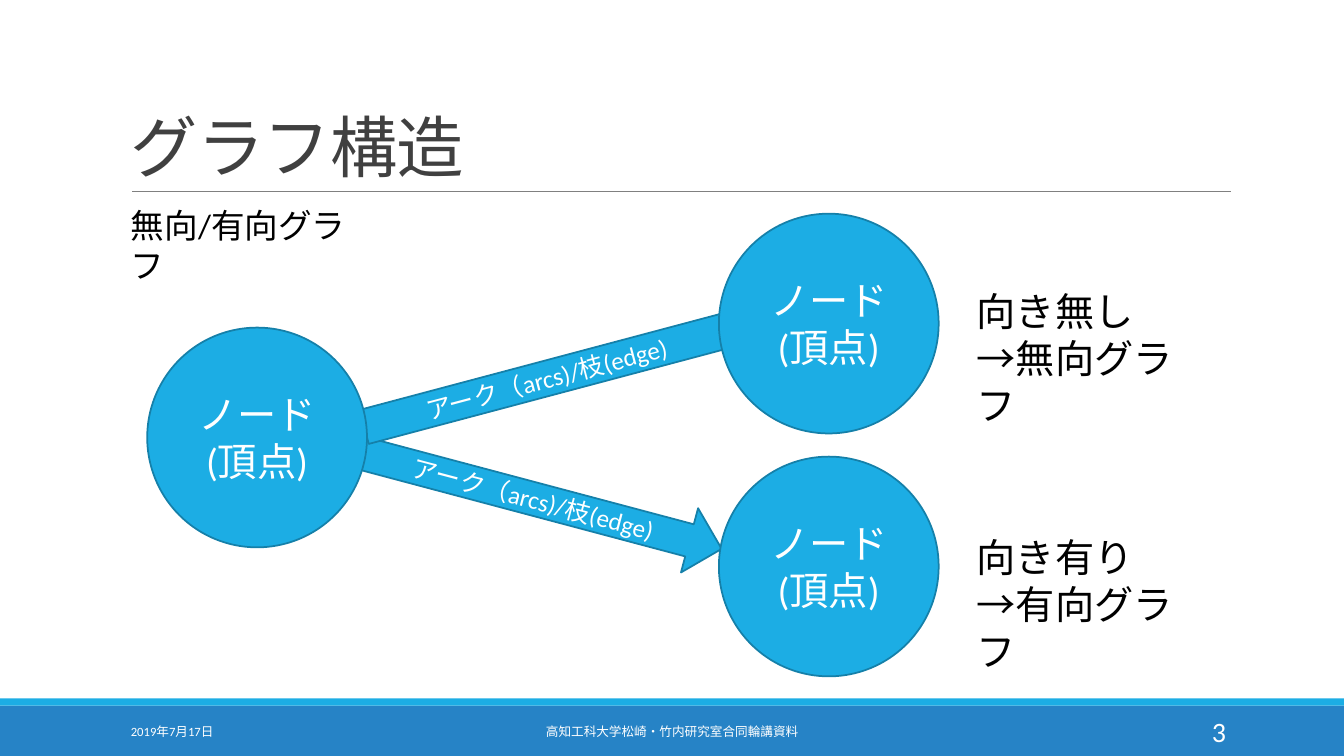
from dataclasses import dataclass

import pptx
import pptx.dml.color
import pptx.enum.shapes
import pptx.enum.text
import pptx.oxml
import pptx.util
from pptx.util import Inches

HUES = {
    "sky": "1CADE4",
    "edge": "1580A9",
    "blue": "2683C6",
    "gray": "808080",
    "dark": "404040",
    "black": "000000",
    "white": "FFFFFF",
}
KINDS = pptx.enum.shapes.MSO_SHAPE
ALIGN = pptx.enum.text.PP_ALIGN
ANCHOR = pptx.enum.text.MSO_ANCHOR

NODE = "ノード\n(頂点)"
ARC = "アーク（arcs)/枝(edge)"
SIZE = 2.18


@dataclass
class Part:
    kind: KINDS
    box: tuple[float, float, float, float]
    text: str = ""
    size: float = 18
    turn: float = 0
    fill: str = "sky"
    line: str | None = "edge"


@dataclass
class Note:
    box: tuple[float, float, float, float]
    text: str
    size: float
    hue: str = "black"
    align: ALIGN = ALIGN.LEFT
    anchor: ANCHOR = ANCHOR.TOP
    space: float = 1.0
    track: int = 0


def color(name: str) -> pptx.dml.color.RGBColor:
    return pptx.dml.color.RGBColor.from_string(HUES[name])


def write(frame, text: str, *, size: float, hue: str = "white",
          align: ALIGN = ALIGN.CENTER, anchor: ANCHOR = ANCHOR.MIDDLE,
          space: float = 1.0, track: int = 0) -> None:
    frame.word_wrap = True
    frame.vertical_anchor = anchor
    for i, words in enumerate(text.split("\n")):
        para = frame.paragraphs[0] if i == 0 else frame.add_paragraph()
        para.alignment = align
        para.line_spacing = space
        run = para.add_run()
        run.text = words
        run.font.name = "Calibri"
        run.font.size = pptx.util.Pt(size)
        run.font.color.rgb = color(hue)
        if track:
            run.font._element.set("spc", str(track))


def draw(slide, part: Part) -> None:
    shape = slide.shapes.add_shape(part.kind, *map(Inches, part.box))
    shape.shadow.inherit = False
    shape.rotation = part.turn
    shape.fill.solid()
    shape.fill.fore_color.rgb = color(part.fill)
    if part.line:
        shape.line.color.rgb = color(part.line)
        shape.line.width = pptx.util.Pt(1.25)
    else:
        shape.line.fill.background()
    if part.text:
        write(shape.text_frame, part.text, size=part.size)


def label(slide, note: Note) -> None:
    box = slide.shapes.add_textbox(*map(Inches, note.box))
    write(box.text_frame, note.text, size=note.size, hue=note.hue,
          align=note.align, anchor=note.anchor, space=note.space,
          track=note.track)


def rule(slide, left: float, right: float, top: float) -> None:
    line = slide.shapes.add_connector(
        pptx.enum.shapes.MSO_CONNECTOR.STRAIGHT,
        Inches(left), Inches(top), Inches(right), Inches(top))
    line.line.color.rgb = color("gray")
    line.line.width = pptx.util.Pt(0.5)
    line._element.spPr.append(pptx.oxml.parse_xml(
        '<a:effectLst xmlns:a='
        '"http://schemas.openxmlformats.org/drawingml/2006/main"/>'))


# Footer bands
BANDS = [
    Part(KINDS.RECTANGLE, (0, 7, 13.33, 0.5), fill="blue", line=None),
    Part(KINDS.RECTANGLE, (0, 6.93, 13.33, 0.07), line=None),
]

# Arcs lie beneath the nodes
GRAPH = [
    Part(KINDS.RIGHT_ARROW, (3.52, 4.64, 3.7, 0.66), ARC, turn=14.9),
    Part(KINDS.RECTANGLE, (3.55, 3.58, 3.74, 0.35), ARC, turn=345.1),
] + [
    Part(KINDS.OVAL, (left, top, SIZE, SIZE), NODE, size=28)
    for left, top in [(1.46, 3.25), (7.13, 2.12), (7.13, 4.53)]
]

# Title, footer and captions
NOTES = [
    Note((1.2, 0.31, 11, 1.59), "グラフ構造", 48, "dark",
         anchor=ANCHOR.BOTTOM, space=0.85, track=-50),
    Note((10.83, 7.06, 1.43, 0.4), "3", 20, "white",
         ALIGN.RIGHT, ANCHOR.MIDDLE),
    Note((4.03, 7.06, 5.27, 0.4), "高知工科大学松崎・竹内研究室合同輪講資料",
         9, "white", ALIGN.CENTER, ANCHOR.MIDDLE),
    Note((1.2, 7.06, 2.7, 0.4), "2019年7月17日", 9, "white",
         anchor=ANCHOR.MIDDLE),
    Note((1.2, 1.98, 2.54, 0.5), "無向/有向グラフ", 24),
    Note((9.59, 2.8, 2.35, 1.04), "向き無し\n→無向グラフ", 28),
    Note((9.59, 5.24, 2.35, 1.04), "向き有り\n→有向グラフ", 28),
]


def main() -> None:
    deck = pptx.Presentation()
    deck.slide_width = Inches(13.33)
    deck.slide_height = Inches(7.5)
    slide = deck.slides.add_slide(deck.slide_layouts[6])
    for part in BANDS:
        draw(slide, part)
    rule(slide, 1.31, 12.21, 1.9)
    for part in GRAPH:
        draw(slide, part)
    for note in NOTES:
        label(slide, note)
    deck.save("out.pptx")


if __name__ == "__main__":
    main()
